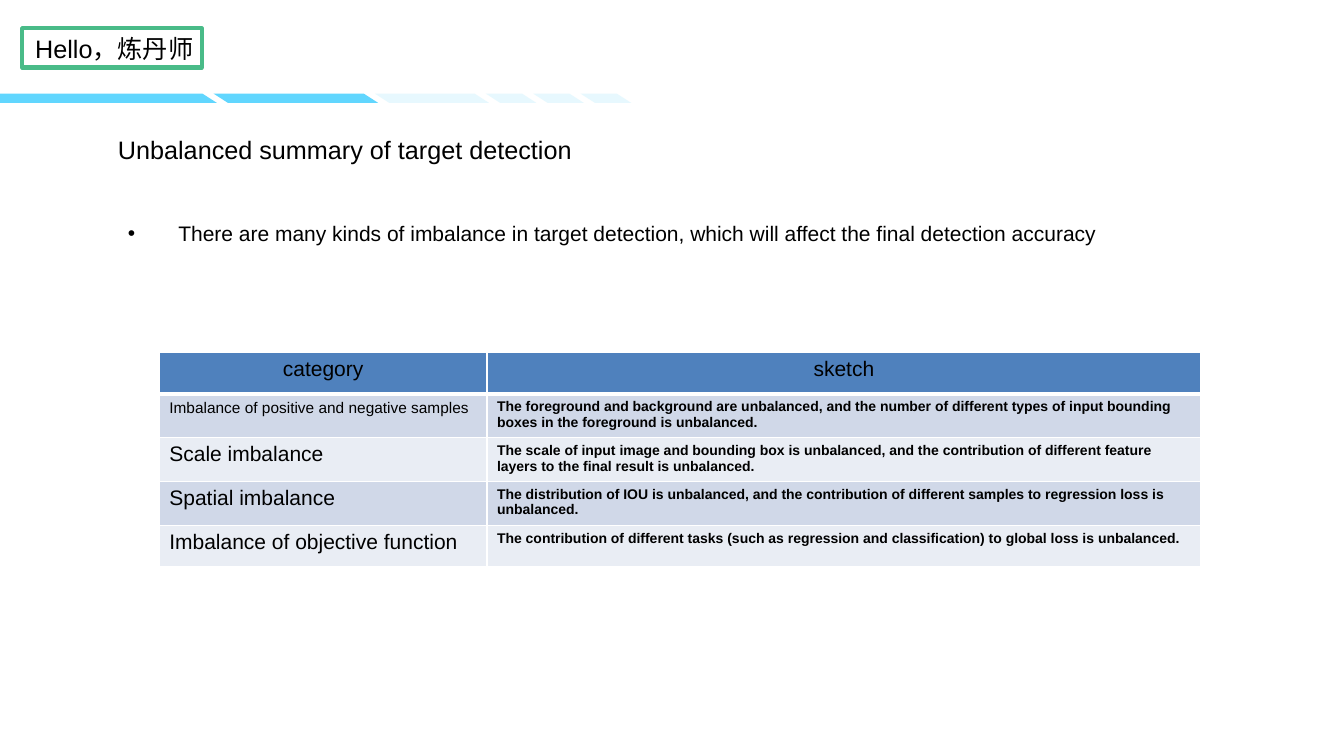
from lxml import etree
from pptx import Presentation
from pptx import util as u
from pptx.dml.color import RGBColor
from pptx.enum import shapes, text
from pptx.oxml.ns import qn

WIDTH, HEIGHT = 13.33, 7.5
FONT = "Arial"
BLACK, WHITE, SKY, GREEN = "000000", "FFFFFF", "61D6FE", "49BB88"
HEADER_FILL, BAND_FILLS = "4F81BD", ("D0D8E8", "E9EDF4")

GREETING = "Hello，炼丹师"
TITLE = "Unbalanced summary of target detection"
POINT = "There are many kinds of imbalance in target detection, which will affect the final detection accuracy"
HEADINGS = ("category", "sketch")
ROWS = [
    ("Imbalance of positive and negative samples", 11,
     "The foreground and background are unbalanced, and the number of different types of "
     "input bounding boxes in the foreground is unbalanced."),
    ("Scale imbalance", 15,
     "The scale of input image and bounding box is unbalanced, and the contribution of "
     "different feature layers to the final result is unbalanced."),
    ("Spatial imbalance", 15,
     "The distribution of IOU is unbalanced, and the contribution of different samples to "
     "regression loss is unbalanced."),
    ("Imbalance of objective function", 15,
     "The contribution of different tasks (such as regression and classification) to global "
     "loss is unbalanced."),
]

STRIPE_TOP, STRIPE_BOTTOM, SLANT = 0.93, 1.02, 0.14
SOLID_STRIPES = [(0, 2.15), (2.12, 3.75)]
SHORT_STRIPES = [(4.82 + 0.47 * i, 5.32 + 0.47 * i) for i in range(3)]
PALE_STRIPES = [(3.72, 4.85)] + SHORT_STRIPES

TABLE_LEFT, TABLE_TOP = 1.58, 3.5
COLUMN_WIDTHS, ROW_HEIGHT = (3.25, 7.08), 0.41


def color(value):
    return RGBColor.from_string(value)


def inches(*values):
    return [u.Inches(value) for value in values]


def add_run(paragraph, words, size, bold=False):
    run = paragraph.add_run()
    run.text = words
    run.font.name = FONT
    run.font.size = u.Pt(size)
    run.font.bold = bold
    run.font.color.rgb = color(BLACK)


def add_text(slide, box, words, size, inset=True):
    frame = slide.shapes.add_textbox(*inches(*box)).text_frame
    frame.word_wrap = True
    frame.vertical_anchor = text.MSO_ANCHOR.TOP
    if not inset:
        frame.margin_left = frame.margin_top = frame.margin_right = frame.margin_bottom = 0
    paragraph = frame.paragraphs[0]
    add_run(paragraph, words, size)
    return paragraph


def add_bullet(paragraph, indent):
    properties = paragraph._p.get_or_add_pPr()
    properties.set("marL", str(u.Inches(indent)))
    properties.set("indent", str(-u.Inches(indent)))
    etree.SubElement(properties, qn("a:buFont")).set("typeface", FONT)
    etree.SubElement(properties, qn("a:buChar")).set("char", "•")


def add_stripes(slide, stripes, opacity):
    builder = None
    for left, right in stripes:
        start = left + SLANT if left else 0
        points = [(right, STRIPE_BOTTOM), (right - SLANT, STRIPE_TOP),
                  (left, STRIPE_TOP), (start, STRIPE_BOTTOM)]
        first, *others = [inches(*point) for point in points]
        if builder is None:
            builder = slide.shapes.build_freeform(*first)
        else:
            builder.move_to(*first)
        builder.add_line_segments(others, close=True)
    shape = builder.convert_to_shape()
    shape.shadow.inherit = False
    shape.fill.solid()
    shape.fill.fore_color.rgb = color(SKY)
    shape.line.fill.background()
    if opacity < 100:
        fill = shape._element.spPr.find(qn("a:solidFill"))
        etree.SubElement(fill[0], qn("a:alpha")).set("val", str(opacity * 1000))


def add_borders(cell, widths):
    properties = cell._tc.get_or_add_tcPr()
    for index, (side, width) in enumerate(widths.items()):
        line = etree.Element(qn("a:ln" + side), w=str(u.Pt(width)))
        fill = etree.SubElement(line, qn("a:solidFill"))
        etree.SubElement(fill, qn("a:srgbClr")).set("val", WHITE)
        properties.insert(index, line)


def fill_cell(cell, words, size, bold, row):
    cell.fill.solid()
    cell.fill.fore_color.rgb = color(BAND_FILLS[(row - 1) % 2] if row else HEADER_FILL)
    paragraph = cell.text_frame.paragraphs[0]
    if row == 0:
        paragraph.alignment = text.PP_ALIGN.CENTER
    add_run(paragraph, words, size, bold)
    add_borders(cell, {"L": 1, "R": 1, "T": 3 if row == 1 else 1, "B": 1 if row else 3})


def add_summary(slide):
    row_count = len(ROWS) + 1
    box = inches(TABLE_LEFT, TABLE_TOP, sum(COLUMN_WIDTHS), ROW_HEIGHT * row_count)
    table = slide.shapes.add_table(row_count, len(COLUMN_WIDTHS), *box).table
    table.first_row = table.horz_banding = False
    for column, width in zip(table.columns, COLUMN_WIDTHS):
        column.width = u.Inches(width)
    for row in table.rows:
        row.height = u.Inches(ROW_HEIGHT)
    for index, heading in enumerate(HEADINGS):
        fill_cell(table.cell(0, index), heading, 15, False, 0)
    for row, (category, size, sketch) in enumerate(ROWS, 1):
        fill_cell(table.cell(row, 0), category, size, False, row)
        fill_cell(table.cell(row, 1), sketch, 10, True, row)


def main():
    presentation = Presentation()
    presentation.slide_width, presentation.slide_height = inches(WIDTH, HEIGHT)
    slide = presentation.slides.add_slide(presentation.slide_layouts[6])

    add_stripes(slide, SOLID_STRIPES, 100)
    add_stripes(slide, PALE_STRIPES, 15)

    frame = slide.shapes.add_shape(shapes.MSO_SHAPE.RECTANGLE, *inches(0.22, 0.28, 1.78, 0.39))
    frame.shadow.inherit = False
    frame.fill.background()
    frame.line.color.rgb = color(GREEN)
    frame.line.width = u.Pt(3)

    add_text(slide, (0.25, 0.28, 5.08, 0.31), GREETING, 18)
    add_bullet(add_text(slide, (1.17, 2.14, 10.08, 0.4), POINT, 15), 0.5)
    add_text(slide, (1.17, 1.33, 4.76, 0.54), TITLE, 18, inset=False)
    add_summary(slide)
    presentation.save("out.pptx")


if __name__ == "__main__":
    main()
